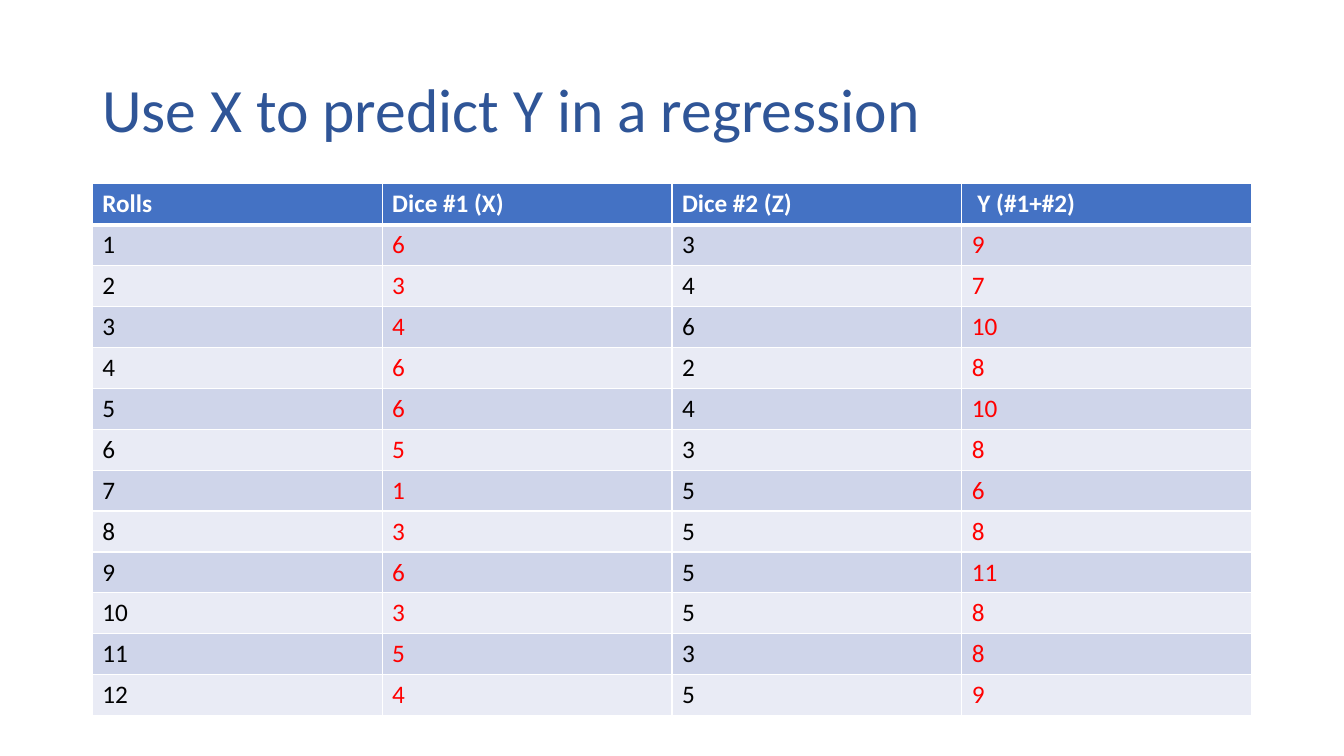
from lxml.etree import SubElement
from pptx import Presentation
from pptx.dml.color import RGBColor
from pptx.enum.text import MSO_ANCHOR
from pptx.oxml.ns import qn
from pptx.util import Pt

FONT = "Calibri"
WHITE, BLACK, RED = "FFFFFF", "000000", "FF0000"
TITLE_BLUE, HEADER_BLUE = "2F5597", "4472C4"
BANDS = ["CFD5EA", "E9EBF5"]

HEADERS = ["Rolls", "Dice #1 (X)", "Dice #2 (Z)", " Y (#1+#2)"]
DICE = [(6, 3), (3, 4), (4, 6), (6, 2), (6, 4), (5, 3),
        (1, 5), (3, 5), (6, 5), (3, 5), (5, 3), (4, 5)]
COL_WIDTH, ROW_HEIGHT = 276, 39


def px(n):
    return n * 9525


def rgb(value):
    return RGBColor.from_string(value)


def add_run(p, text, size, color, bold=False):
    r = p.add_run()
    r.text = text
    r.font.name = FONT
    r.font.size = Pt(size)
    r.font.bold = bold
    r.font.color.rgb = rgb(color)


def add_title(s, text, x, y, w, h):
    tf = s.shapes.add_textbox(px(x), px(y), px(w), px(h)).text_frame
    tf.word_wrap = True
    tf.vertical_anchor = MSO_ANCHOR.MIDDLE
    p = tf.paragraphs[0]
    p.line_spacing = 0.9
    add_run(p, text, 44, TITLE_BLUE)


def add_border(cell, side, width):
    """Draw one white cell edge; side is L, R, T or B."""
    ln = SubElement(cell._tc.get_or_add_tcPr(), qn(f"a:ln{side}"), w=str(Pt(width)))
    fill = SubElement(ln, qn("a:solidFill"))
    SubElement(fill, qn("a:srgbClr"), val=WHITE)


def fill_cell(cell, text, row, col):
    header = row == 0
    thick_side = {0: "B", 1: "T"}.get(row)
    for side in "LRTB":
        add_border(cell, side, 3 if side == thick_side else 1)
    cell.fill.solid()
    cell.fill.fore_color.rgb = rgb(HEADER_BLUE if header else BANDS[(row - 1) % 2])
    color = WHITE if header else RED if col in (1, 3) else BLACK
    add_run(cell.text_frame.paragraphs[0], text, 18, color, header)


def add_dice_table(s, x, y):
    rows = [HEADERS]
    rows += [(i, d1, d2, d1 + d2) for i, (d1, d2) in enumerate(DICE, 1)]
    n_rows, n_cols = len(rows), len(HEADERS)
    table = s.shapes.add_table(n_rows, n_cols, px(x), px(y),
                               px(COL_WIDTH * n_cols), px(ROW_HEIGHT * n_rows)).table
    for i, values in enumerate(rows):
        for j, value in enumerate(values):
            fill_cell(table.cell(i, j), str(value), i, j)


def main():
    prs = Presentation()
    prs.slide_width, prs.slide_height = px(1280), px(720)
    s = prs.slides.add_slide(prs.slide_layouts[6])
    add_title(s, "Use X to predict Y in a regression", 88, 38, 1104, 139)
    add_dice_table(s, 88, 175)
    prs.save("out.pptx")


if __name__ == "__main__":
    main()
